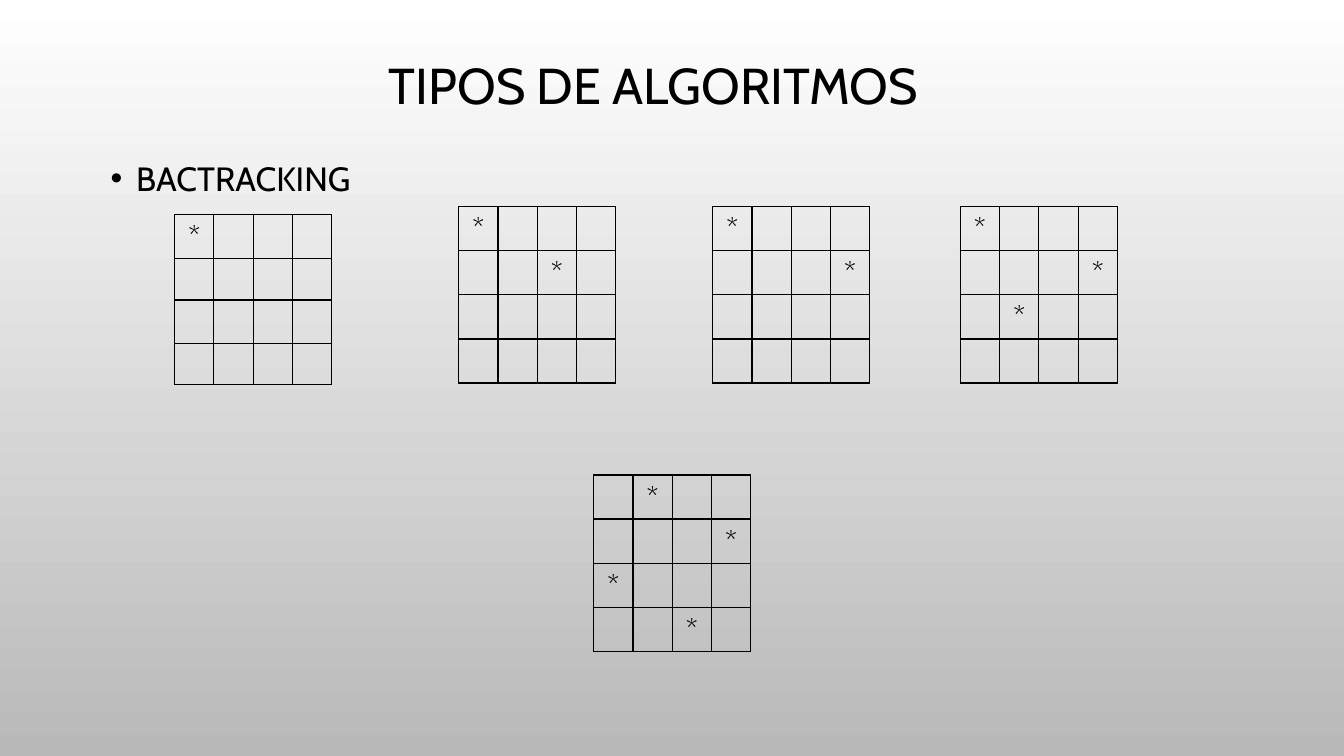
from dataclasses import dataclass

from lxml.etree import SubElement
from pptx import Presentation
from pptx.dml.color import RGBColor
from pptx.enum.text import MSO_ANCHOR as Anchor, PP_ALIGN as Align
from pptx.oxml.ns import qn
from pptx.slide import Slide
from pptx.table import _Cell as Cell
from pptx.text.text import _Paragraph as Para
from pptx.util import Cm, Pt

FONT = "Cabin"
BLACK = RGBColor(0, 0, 0)
WHITE = RGBColor(255, 255, 255)
GRAY = RGBColor(0xB9, 0xB9, 0xB9)
SIZE = 4
COL = 0.99
EVEN = (1.11,) * SIZE


@dataclass
class Label:
    text: str
    box: tuple[float, float, float, float]
    size: int
    anchor: Anchor
    form: dict


@dataclass
class Board:
    left: float
    top: float
    queens: tuple[tuple[int, int], ...]  # (row, column)
    rows: tuple[float, ...] = EVEN


LABELS = [
    Label("TIPOS DE ALGORITMOS", (2.08, 0, 28.78, 4.45), 36, Anchor.MIDDLE,
          {"alignment": Align.CENTER, "line_spacing": 0.9}),
    Label("BACTRACKING", (2.54, 3.66, 28.78, 1.57), 24, Anchor.TOP,
          {"line_spacing": 1.2, "space_before": Pt(10)}),
]
BOARDS = [
    Board(4.4, 5.41, ((0, 0),), (1.11, 1.04, 1.09, 1.04)),
    Board(11.56, 5.21, ((0, 0), (1, 2))),
    Board(17.96, 5.21, ((0, 0), (1, 3))),
    Board(24.2, 5.21, ((0, 0), (1, 3), (2, 1))),
    Board(14.96, 11.97, ((0, 1), (1, 3), (2, 0), (3, 2))),
]


def write(para: Para, text: str, size: int, form: dict) -> None:
    for name, value in form.items():
        setattr(para, name, value)
    run = para.add_run()
    run.text = text
    for name, value in {"name": FONT, "size": Pt(size)}.items():
        setattr(run.font, name, value)
    run.font.color.rgb = BLACK


def bullet(para: Para) -> None:
    props = para._p.get_or_add_pPr()
    props.set("marL", str(Cm(0.64)))
    props.set("indent", str(-Cm(0.64)))
    SubElement(props, qn("a:buFont"), typeface="Arial")
    SubElement(props, qn("a:buChar"), char="•")


def border(cell: Cell) -> None:
    props = cell._tc.get_or_add_tcPr()
    for side in ("lnL", "lnR", "lnT", "lnB"):
        line = SubElement(props, qn(f"a:{side}"), w=str(Pt(1)))
        fill = SubElement(line, qn("a:solidFill"))
        SubElement(fill, qn("a:srgbClr"), val=str(BLACK))


def draw_label(slide: Slide, label: Label) -> Para:
    frame = slide.shapes.add_textbox(*map(Cm, label.box)).text_frame
    frame.word_wrap = True
    frame.vertical_anchor = label.anchor
    para = frame.paragraphs[0]
    write(para, label.text, label.size, label.form)
    return para


def draw_board(slide: Slide, board: Board) -> None:
    box = (board.left, board.top, SIZE * COL, sum(board.rows))
    table = slide.shapes.add_table(SIZE, SIZE, *map(Cm, box)).table
    table.first_row = table.horz_banding = False
    for col in table.columns:
        col.width = Cm(COL)
    for row, height in zip(table.rows, board.rows):
        row.height = Cm(height)
    for cell in table.iter_cells():
        border(cell)
        cell.fill.background()
    for row, col in board.queens:
        para = table.cell(row, col).text_frame.paragraphs[0]
        write(para, "*", 20, {"alignment": Align.CENTER})


def main() -> None:
    deck = Presentation()
    deck.slide_width, deck.slide_height = Cm(33.87), Cm(19.05)
    slide = deck.slides.add_slide(deck.slide_layouts[6])

    # Background, white at the top to gray at the bottom
    fill = slide.background.fill
    fill.gradient()
    fill.gradient_angle = 270
    for stop, color in zip(fill.gradient_stops, (WHITE, GRAY)):
        stop.color.rgb = color

    # Title and topic
    title, topic = [draw_label(slide, label) for label in LABELS]
    bullet(topic)

    # Search steps on the board
    for board in BOARDS:
        draw_board(slide, board)

    deck.save("out.pptx")


if __name__ == "__main__":
    main()
